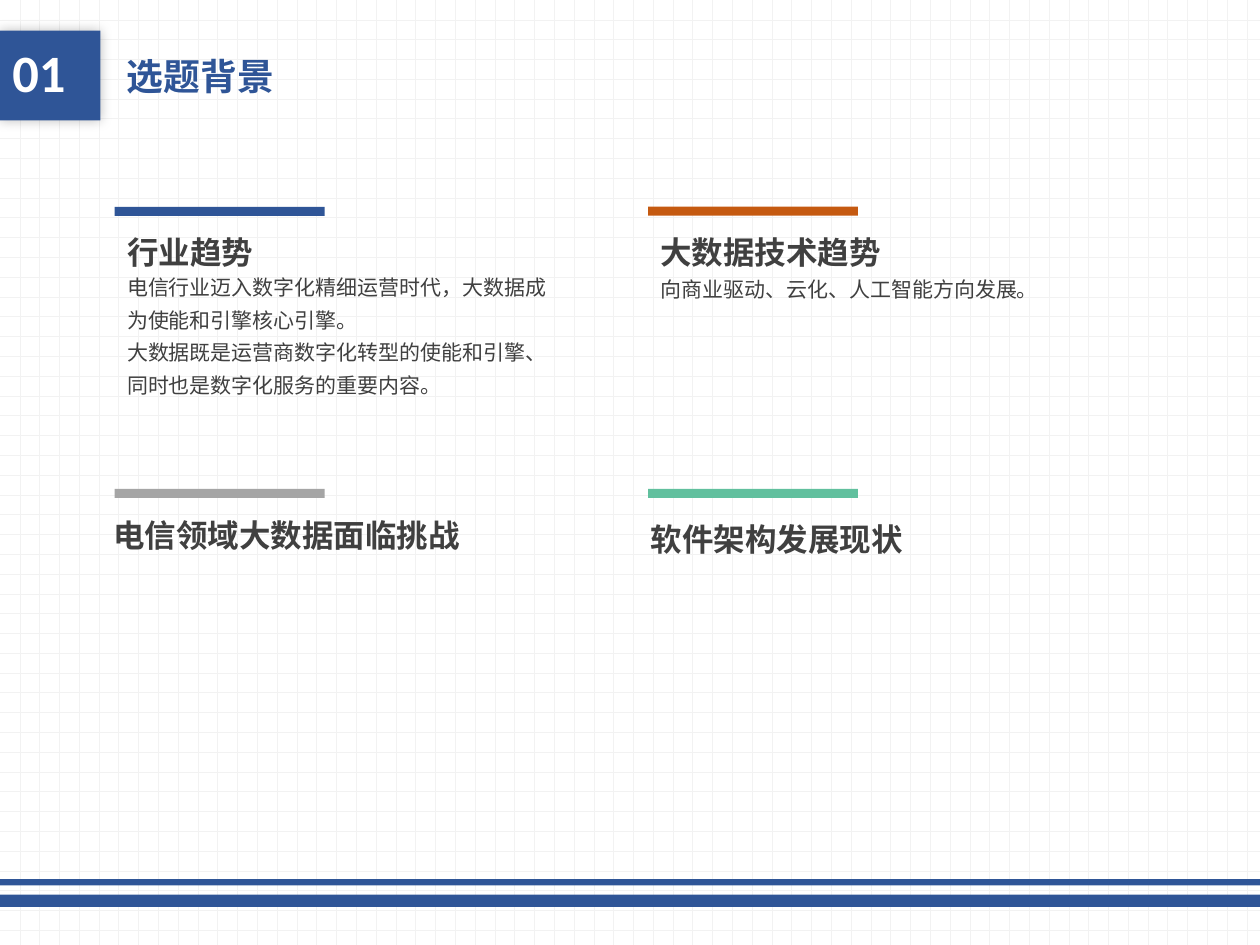
from lxml.etree import SubElement
from pptx import Presentation
from pptx.dml.color import RGBColor
from pptx.enum.dml import MSO_PATTERN
from pptx.enum.shapes import MSO_SHAPE
from pptx.enum.text import MSO_ANCHOR, MSO_AUTO_SIZE, PP_ALIGN
from pptx.oxml.ns import qn
from pptx.util import Pt

COLORS = {
    "blue": "2F5597", "orange": "C55A11", "gray": "A5A5A5", "green": "61C09E",
    "text": "404040", "white": "FFFFFF", "grid": "F2F2F2", "shadow": "000000",
}
CJK_FONT = "Noto Sans CJK SC"


def add_bar(left, top, width, height, color):
    bar = page.shapes.add_shape(
        MSO_SHAPE.RECTANGLE, Pt(left), Pt(top), Pt(width), Pt(height))
    bar.fill.solid()
    bar.fill.fore_color.rgb = RGBColor.from_string(COLORS[color])
    bar.line.fill.background()
    bar.shadow.inherit = False
    return bar


def write_text(box, lines, size, font, color, bold=False, spacing=1.0, before=0):
    frame = box.text_frame
    frame.text = "\n".join(lines)
    for para in frame.paragraphs:
        para.alignment = PP_ALIGN.LEFT
        para.line_spacing = spacing
        para.space_before = Pt(before)
        para.font.size = Pt(size)
        para.font.bold = bold
        para.font.name = font
        para.font.color.rgb = RGBColor.from_string(COLORS[color])
        defaults = para._p.find(".//" + qn("a:defRPr"))
        SubElement(defaults, qn("a:ea"), typeface=CJK_FONT)
    return frame


deck = Presentation()
deck.slide_width, deck.slide_height = Pt(720), Pt(540)
page = deck.slides.add_slide(deck.slide_layouts[6])

# Grid background
backdrop = page.background.fill
backdrop.patterned()
backdrop.pattern = MSO_PATTERN.DOTTED_GRID
backdrop.fore_color.rgb = RGBColor.from_string(COLORS["grid"])
backdrop.back_color.rgb = RGBColor.from_string(COLORS["white"])

# Footer stripes
for top, height in [(511.2, 7), (502.4, 3.6)]:
    add_bar(0, top, 720, height, "blue")

# Section number with a soft shadow
number = add_bar(0, 17.5, 57.4, 51.4, "blue")
effects = number._element.spPr.find(qn("a:effectLst"))
glow = SubElement(effects, qn("a:outerShdw"), blurRad=str(Pt(7)), dist="0", dir="0",
                  algn="ctr", rotWithShape="0")
shade = SubElement(glow, qn("a:srgbClr"), val=COLORS["shadow"])
SubElement(shade, qn("a:alpha"), val="25000")
frame = write_text(number, ["01"], 30, "Calibri", "white", True, 0.9, 10)
frame.vertical_anchor = MSO_ANCHOR.MIDDLE

# Section title
title = page.shapes.add_textbox(Pt(65.5), Pt(17.5), Pt(380), Pt(51.4))
frame = write_text(title, ["选题背景"], 21, "Calibri", "blue", True, before=10)
frame.word_wrap = True
frame.vertical_anchor = MSO_ANCHOR.MIDDLE

# Topics: bar left and top, bar colour, heading left, top and width, heading, body top, body
topics = [
    (65.5, 118.2, "blue", 65.5, 123.3, 87, "行业趋势", 149,
     ["电信行业迈入数字化精细运营时代，大数据成为使能和引擎核心引擎。",
      "大数据既是运营商数字化转型的使能和引擎、同时也是数字化服务的重要内容。"]),
    (65.5, 279.4, "gray", 57.6, 284.7, 214.5, "电信领域大数据面临挑战", 0, []),
    (370.3, 118, "orange", 370.3, 123.3, 142, "大数据技术趋势", 150,
     ["向商业驱动、云化、人工智能方向发展。"]),
    (370.3, 279.4, "green", 364.8, 287, 160, "软件架构发展现状", 0, []),
]
for left, top, color, head_left, head_top, head_width, heading, body_top, body in topics:
    add_bar(left, top, 120, 5.2, color)
    if body:
        box = page.shapes.add_textbox(Pt(left), Pt(body_top), Pt(258.5), Pt(40 * len(body)))
        frame = write_text(box, body, 12, CJK_FONT, "text", spacing=1.3)
        frame.word_wrap = True
        frame.auto_size = MSO_AUTO_SIZE.SHAPE_TO_FIT_TEXT
    box = page.shapes.add_textbox(Pt(head_left), Pt(head_top), Pt(head_width), Pt(33))
    frame = write_text(box, [heading], 18, "League Spartan", "text", True, 1.3)
    frame.word_wrap = False
    frame.auto_size = MSO_AUTO_SIZE.SHAPE_TO_FIT_TEXT

deck.save("out.pptx")
